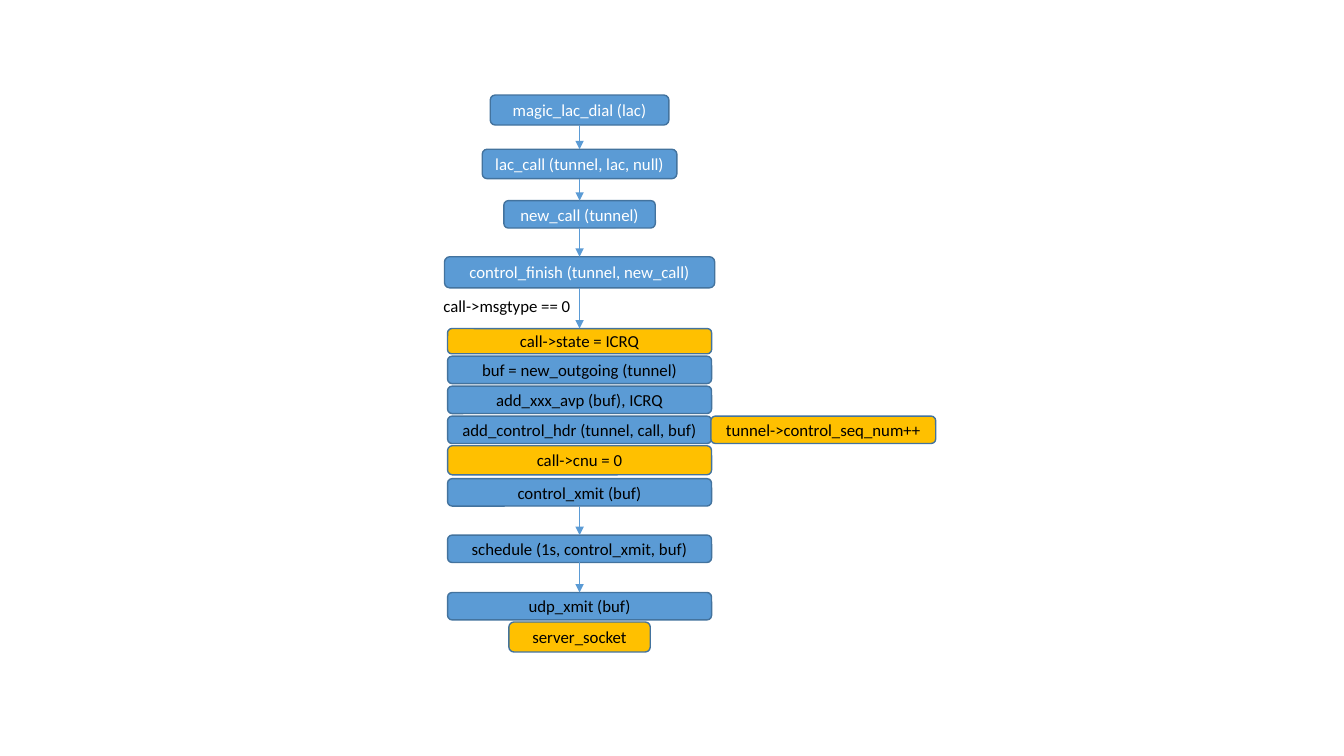
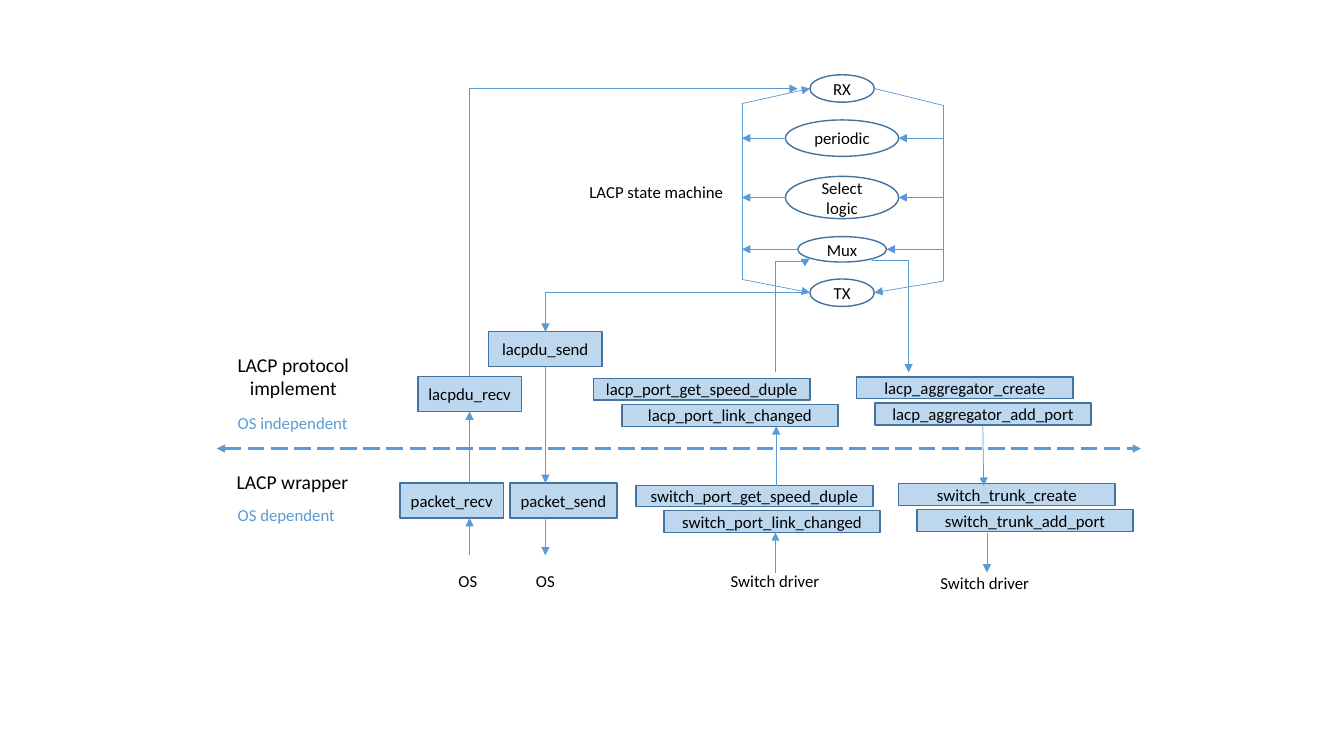
from lxml import etree
from pptx import Presentation
from pptx.dml.color import RGBColor
from pptx.enum.dml import MSO_LINE
from pptx.enum.shapes import MSO_CONNECTOR, MSO_SHAPE
from pptx.enum.text import MSO_ANCHOR, MSO_AUTO_SIZE, PP_ALIGN
from pptx.oxml.ns import qn
from pptx.util import Pt

ROUNDED = MSO_SHAPE.ROUNDED_RECTANGLE
RECTANGLE = MSO_SHAPE.RECTANGLE
OVAL = MSO_SHAPE.OVAL
STRAIGHT = MSO_CONNECTOR.STRAIGHT
ELBOW = MSO_CONNECTOR.ELBOW
LONG_DASH = MSO_LINE.LONG_DASH
MIDDLE = MSO_ANCHOR.MIDDLE
FIT_SHAPE = MSO_AUTO_SIZE.SHAPE_TO_FIT_TEXT
CENTER = PP_ALIGN.CENTER
LEFT = PP_ALIGN.LEFT

FONT = "Calibri"
COLORS = {
    "blue": "5B9BD5",
    "border": "43739E",
    "pale": "BDD7EE",
    "amber": "FFC000",
    "white": "FFFFFF",
    "black": "000000",
}


def add_box(slide, text, left, top, width, height, shape=None, fill=None,
            color="black", size=12, align=CENTER, wrap=True):
    """Add a bordered shape, or a plain text box when no shape is given."""
    place = Pt(left), Pt(top), Pt(width), Pt(height)
    if shape is None:
        box = slide.shapes.add_textbox(*place)
        box.text_frame.auto_size = FIT_SHAPE
    else:
        box = slide.shapes.add_shape(shape, *place)
        box.shadow.inherit = False
        box.line.color.rgb = RGBColor.from_string(COLORS["border"])
        box.line.width = Pt(1)
        box.text_frame.vertical_anchor = MIDDLE
        if fill:
            box.fill.solid()
            box.fill.fore_color.rgb = RGBColor.from_string(COLORS[fill])
        else:
            box.fill.background()
    box.text_frame.word_wrap = wrap
    box.text_frame.text = text
    for para in box.text_frame.paragraphs:
        para.alignment = align
        para.font.name = FONT
        para.font.size = Pt(size)
        para.font.color.rgb = RGBColor.from_string(COLORS[color])
    return box


def add_line(slide, start_x, start_y, end_x, end_y, kind=STRAIGHT,
             width=0.5, dash=None, ends=("tailEnd",)):
    """Add a blue line with a triangle at each of the named ends."""
    line = slide.shapes.add_connector(
        kind, Pt(start_x), Pt(start_y), Pt(end_x), Pt(end_y))
    line.line.color.rgb = RGBColor.from_string(COLORS["blue"])
    line.line.width = Pt(width)
    if dash:
        line.line.dash_style = dash
    properties = line.element.spPr
    outline = properties.find(qn("a:ln"))
    for end in ends:
        etree.SubElement(outline, qn("a:" + end), type="triangle")
    etree.SubElement(properties, qn("a:effectLst"))
    return line


deck = Presentation()
deck.slide_width = Pt(960)
deck.slide_height = Pt(540)
blank = deck.slide_layouts[6]

# Slide 1: call flow, one centred column
flow = deck.slides.add_slide(blank)
AXIS = 414
BODY = 188.6
# text, top, width, height, fill, text colour, arrow from the step above
steps = [
    ("magic_lac_dial (lac)", 67.9, 127.6, 21.4, "blue", "white", False),
    ("lac_call (tunnel, lac, null)", 106.6, 139, 21, "blue", "white", True),
    ("new_call (tunnel)", 143.3, 108.2, 19.6, "blue", "white", True),
    ("control_finish (tunnel, new_call)", 183.4, 193, 22.2, "blue", "white", True),
    ("call->state = ICRQ", 234.7, BODY, 18, "amber", "black", True),
    ("buf = new_outgoing (tunnel)", 254.4, BODY, 19.6, "blue", "black", False),
    ("add_xxx_avp (buf), ICRQ", 275.8, BODY, 19.6, "blue", "black", False),
    ("add_control_hdr (tunnel, call, buf)", 297.2, BODY, 19.6, "blue", "black", False),
    ("call->cnu = 0", 318.4, BODY, 20.8, "amber", "black", False),
    ("control_xmit (buf)", 341.9, BODY, 19.6, "blue", "black", False),
    ("schedule (1s, control_xmit, buf)", 382.2, BODY, 19.6, "blue", "black", True),
    ("udp_xmit (buf)", 423.2, BODY, 19.6, "blue", "black", True),
    ("server_socket", 444.3, 101, 21.4, "amber", "black", False),
]
bottom = 0
for text, top, width, height, fill, color, linked in steps:
    add_box(flow, text, AXIS - width / 2, top, width, height,
            shape=ROUNDED, fill=fill, color=color)
    if linked:
        add_line(flow, AXIS, bottom, AXIS, top)
    bottom = top + height

add_box(flow, "tunnel->control_seq_num++", 507.8, 297.2, 160.6, 19.6,
        shape=ROUNDED, fill="amber")
add_box(flow, "call->msgtype == 0", 309.6, 207.4, 106.6, 21.6,
        align=LEFT, wrap=False)

# Slide 2: protocol layers
layers = deck.slides.add_slide(blank)
add_line(layers, 154.8, 320.4, 815, 320.4, width=1.5, dash=LONG_DASH,
         ends=("headEnd", "tailEnd"))

# Labels: text, left, top, width, height, format
labels = [
    ("LACP protocol\nimplement", 162, 248.4, 95, 41, {"size": 14, "align": CENTER}),
    ("OS independent", 162.7, 291.6, 93.6, 21.6, {"color": "blue"}),
    ("LACP wrapper", 162, 331.9, 95, 24.5, {"size": 14}),
    ("OS dependent", 162.7, 357.1, 87.1, 21.6, {"color": "blue"}),
    ("OS", 320.4, 404, 28, 21.6, {}),
    ("OS", 375.8, 404, 28, 21.6, {}),
    ("Switch driver", 514.8, 404, 78.5, 21.6, {}),
    ("Switch driver", 664.6, 405.4, 78.5, 21.6, {}),
    ("LACP state machine", 414, 126, 113, 21.6, {"wrap": True}),
]
for text, left, top, width, height, style in labels:
    add_box(layers, text, left, top, width, height,
            **{"align": LEFT, "wrap": False, **style})

# State machine: ovals between two rails
MIDLINE, LEFT_RAIL, RIGHT_RAIL = 601.5, 530, 674
states = [
    ("RX", 53.4, 46, 19.6, False),
    ("periodic", 85.7, 80.8, 26, True),
    ("Select logic", 126, 80.8, 30.2, True),
    ("Mux", 169, 63.4, 18.2, True),
    ("TX", 199.3, 46, 19.6, False),
]
for text, top, width, height, on_rails in states:
    left, right, middle = MIDLINE - width / 2, MIDLINE + width / 2, top + height / 2
    add_box(layers, text, left, top, width, height, shape=OVAL)
    if on_rails:
        add_line(layers, left, middle, LEFT_RAIL, middle)
        add_line(layers, RIGHT_RAIL, middle, right, middle)

for rail, top, end in [(LEFT_RAIL, 73.8, 199.6), (RIGHT_RAIL, 75, 200.6)]:
    add_line(layers, rail, top, rail, end, ends=())
add_line(layers, LEFT_RAIL, 74, 578.6, 63.2)
add_line(layers, 624.6, 63.2, RIGHT_RAIL, 75.4, ends=())
add_line(layers, LEFT_RAIL, 199.6, 578.6, 209)
add_line(layers, RIGHT_RAIL, 200.8, 624.6, 209)

# Function boxes: text, left, top, width, height
BAR = (154.4, 15.7)
functions = [
    ("packet_recv", 285.8, 345, 73.8, 25),
    ("packet_send", 364.3, 345, 76.4, 25),
    ("lacpdu_recv", 298.6, 269, 73.8, 25),
    ("lacpdu_send", 349, 237, 81, 25),
    ("lacp_port_get_speed_duple", 424.1, 270.2, *BAR),
    ("lacp_port_link_changed", 444.2, 288.8, *BAR),
    ("lacp_aggregator_create", 612, 269.2, *BAR),
    ("lacp_aggregator_add_port", 625, 288, *BAR),
    ("switch_port_get_speed_duple", 454.3, 347, 169.2, 14.8),
    ("switch_port_link_changed", 474.3, 364.6, *BAR),
    ("switch_trunk_create", 642, 345.6, *BAR),
    ("switch_trunk_add_port", 655, 364, *BAR),
]
for text, left, top, width, height in functions:
    add_box(layers, text, left, top, width, height, shape=RECTANGLE, fill="pale")

# Vertical arrows between layers
RECEIVE, SEND, PORT = 335.4, 389.6, 554.4
arrows = [
    (RECEIVE, 345, RECEIVE, 294), (RECEIVE, 396.7, RECEIVE, 370),
    (SEND, 262, SEND, 345), (SEND, 370, SEND, 396.7),
    (PORT, 347, PORT, 304.5), (PORT - 0.5, 409, PORT - 0.5, 380.3),
    (702, 303.8, 702.7, 347), (705, 381, 705, 409),
]
for arrow in arrows:
    add_line(layers, *arrow)

# Elbow arrows: frame before turning, degrees, flips, preset, bend
elbows = [
    (525.6, 213.1, 81.4, 24.5, 90, ("flipH", "flipV"), "bentConnector3", 97300),
    (595.4, 212.4, 81.4, 25.9, 270, ("flipH",), "bentConnector3", 1700),
    (389.6, 209, 189.2, 28, 180, ("flipV",), "bentConnector2", None),
    (349.9, 49, 205.6, 234.3, 90, ("flipH", "flipV"), "bentConnector2", None),
]
for left, top, width, height, degrees, flips, preset, bend in elbows:
    elbow = add_line(layers, left, top, left + width, top + height, kind=ELBOW)
    transform = elbow.element.spPr.find(qn("a:xfrm"))
    transform.set("rot", str(degrees * 60000))
    for flip in flips:
        transform.set(flip, "1")
    geometry = elbow.element.spPr.find(qn("a:prstGeom"))
    geometry.set("prst", preset)
    if bend is not None:
        etree.SubElement(geometry.find(qn("a:avLst")), qn("a:gd"),
                         name="adj1", fmla=f"val {bend}")

deck.save("out.pptx")
